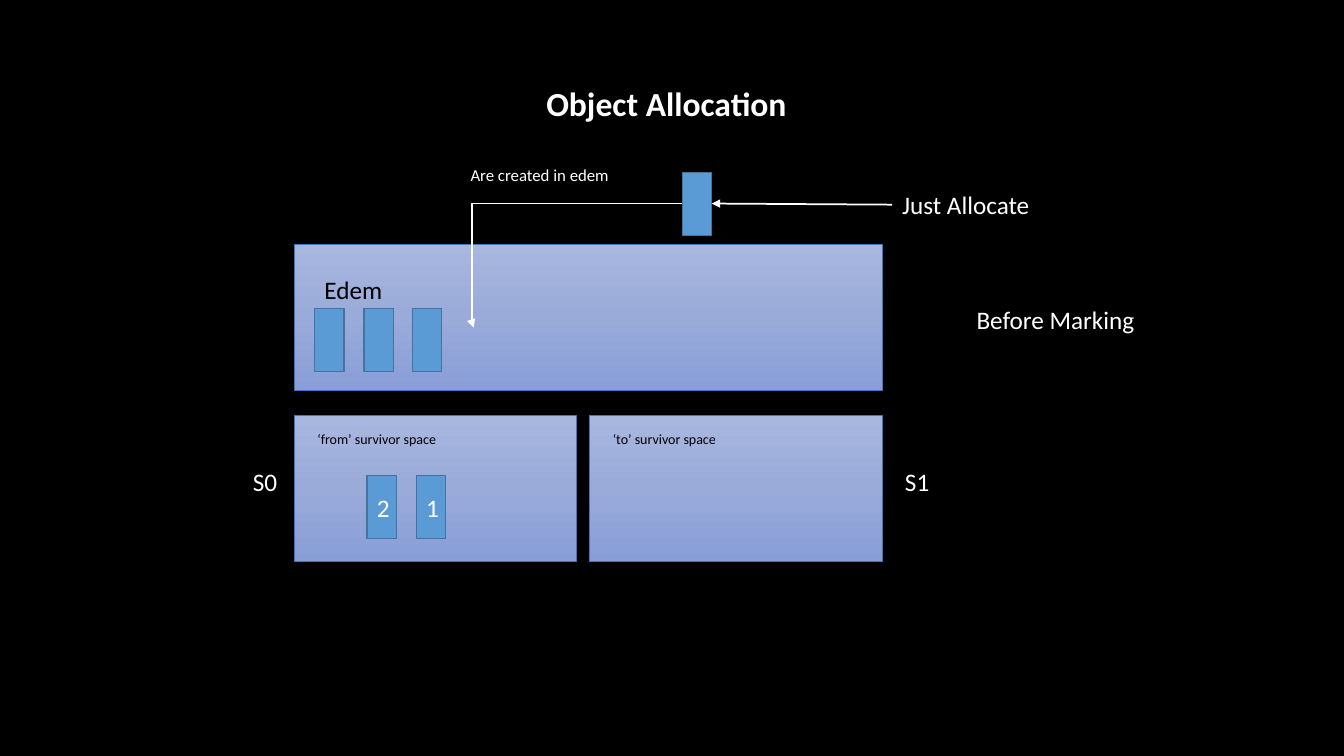
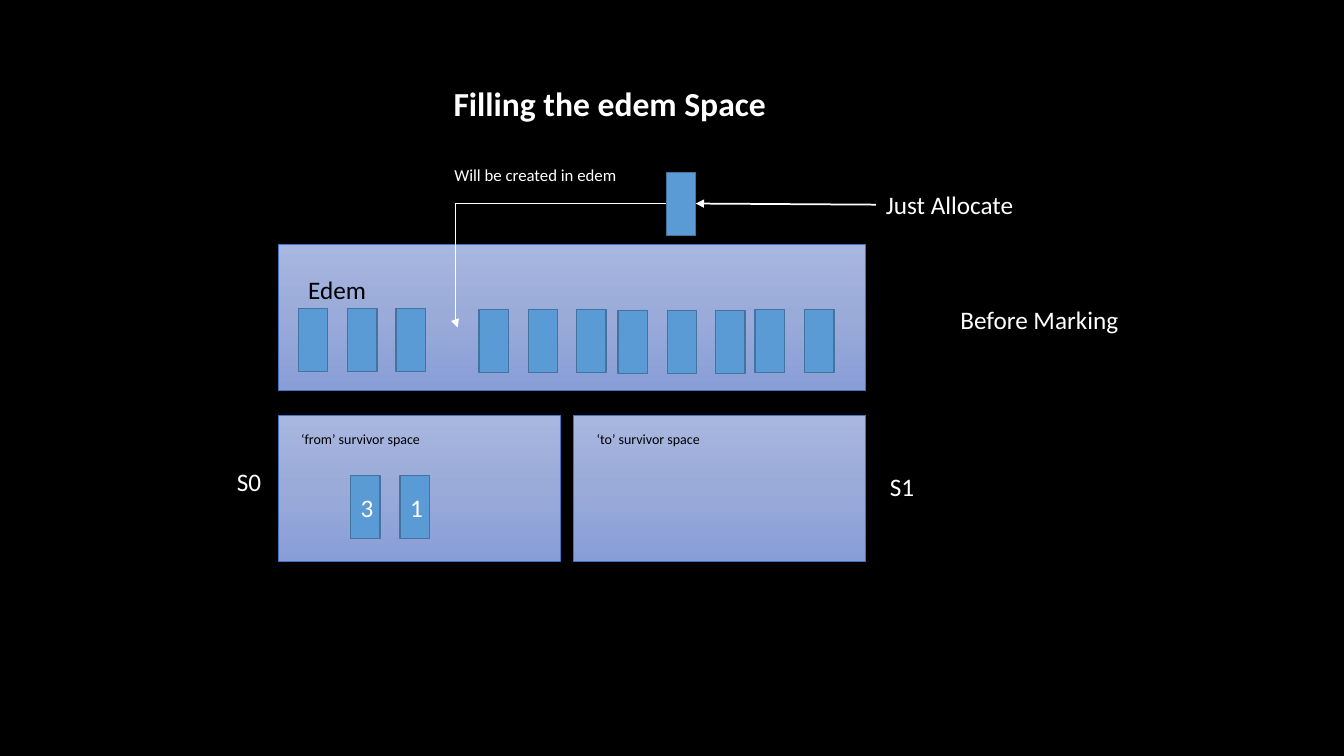
from copy import deepcopy
from dataclasses import dataclass

from lxml.etree import SubElement
from pptx import Presentation
from pptx.dml.color import RGBColor
from pptx.enum.shapes import MSO_CONNECTOR, MSO_SHAPE
from pptx.enum.text import MSO_ANCHOR, MSO_AUTO_SIZE, PP_ALIGN
from pptx.oxml.ns import qn
from pptx.util import Pt


@dataclass(frozen=True)
class Theme:
    """Colours, font and type sizes of the deck."""
    font: str = "Calibri"
    background: str = "000000"
    light: str = "FFFFFF"
    dark: str = "000000"
    cell: str = "5B9BD5"
    cell_edge: str = "43739E"
    space_edge: str = "4472C4"
    space_stops: tuple = ((0, "A8B7DF"), (0.5, "9AABD9"), (1, "889ED7"))
    title: int = 24
    label: int = 18
    note: int = 12
    caption: int = 10


def color(code):
    """Turn a hex code into a colour."""
    return RGBColor.from_string(code)


class Painter:
    """Draws on the current page, measuring from the heap's left edge."""
    cell_size = (21, 45)
    cell_offsets = (0, 35.3, 69.8)

    def __init__(self, deck, theme):
        """Keep the style and set the shared background."""
        self.deck, self.theme = deck, theme
        fill = deck.slide_master.background.fill
        fill.solid()
        fill.fore_color.rgb = color(theme.background)

    def start(self, title, title_left, title_width, origin):
        """Open a titled page whose heap begins at origin."""
        self.page = self.deck.slides.add_slide(self.deck.slide_layouts[5])
        self.origin = origin
        box = self.page.shapes.title
        box.left, box.top = Pt(title_left), Pt(55.4)
        box.width, box.height = Pt(title_width), Pt(36)
        self.set_text(box, title, self.theme.title, self.theme.light, bold=True)

    def place(self, left, top, width, height):
        """Convert a position on the heap to a position on the page."""
        return Pt(self.origin + left), Pt(top), Pt(width), Pt(height)

    def set_text(self, box, text, size, ink, bold=False, align=PP_ALIGN.LEFT,
                 anchor=MSO_ANCHOR.TOP, wrap=True):
        """Put one styled paragraph in a box."""
        frame = box.text_frame
        frame.text = text
        frame.word_wrap = wrap
        frame.auto_size = MSO_AUTO_SIZE.NONE
        frame.vertical_anchor = anchor
        para = frame.paragraphs[0]
        para.alignment = align
        para.font.name, para.font.size = self.theme.font, Pt(size)
        para.font.bold, para.font.color.rgb = bold, color(ink)

    def label(self, text, left, top, width, height=28.8, size=None, ink=None, wrap=True):
        """Add a text box."""
        box = self.page.shapes.add_textbox(*self.place(left, top, width, height))
        self.set_text(box, text, size or self.theme.label, ink or self.theme.light, wrap=wrap)

    def rectangle(self, left, top, width, height, edge, weight):
        """Add an outlined rectangle without shadow."""
        box = self.page.shapes.add_shape(MSO_SHAPE.RECTANGLE, *self.place(left, top, width, height))
        box.shadow.inherit = False
        box.line.color.rgb, box.line.width = color(edge), Pt(weight)
        return box

    def space(self, left, top, width):
        """Add a memory space with a downward gradient."""
        box = self.rectangle(left, top, width, 104.4, self.theme.space_edge, 0.5)
        box.fill.gradient()
        box.fill.gradient_angle = 270
        stops = box._element.spPr.find(".//" + qn("a:gsLst"))
        stops.insert(1, deepcopy(stops[0]))
        for stop, (position, code) in zip(box.fill.gradient_stops, self.theme.space_stops):
            stop.position, stop.color.rgb = position, color(code)

    def cell(self, left, top, text=""):
        """Add an object cell, with its age if given."""
        box = self.rectangle(left, top, *self.cell_size, self.theme.cell_edge, 1)
        box.fill.solid()
        box.fill.fore_color.rgb = color(self.theme.cell)
        if text:
            self.set_text(box, text, self.theme.label, self.theme.light,
                          align=PP_ALIGN.CENTER, anchor=MSO_ANCHOR.MIDDLE)

    def cells(self, left, top, count):
        """Add a group of object cells."""
        for offset in self.cell_offsets[:count]:
            self.cell(left + offset, top)

    def arrow(self, kind, start, end, bend=None):
        """Add an arrow, optionally with its bend in thousandths of a percent."""
        (left, top), (right, bottom) = start, end
        line = self.page.shapes.add_connector(
            kind, Pt(self.origin + left), Pt(top), Pt(self.origin + right), Pt(bottom))
        line.line.color.rgb, line.line.width = color(self.theme.light), Pt(1.25)
        properties = line._element.spPr
        SubElement(properties.find(qn("a:ln")), qn("a:tailEnd"), type="triangle")
        SubElement(properties, qn("a:effectLst"))
        if bend:
            SubElement(properties.find(".//" + qn("a:avLst")), qn("a:gd"),
                       name="adj1", fmla=f"val {bend}")

    def heap(self, note, ages, groups, right_label):
        """Draw the heap: eden cell groups, both survivor spaces and the new object."""
        theme = self.theme
        self.space(0, 174.24, 419.76)
        for group in groups:
            self.cells(*group)
        self.label("Edem", 14.4, 192.2, 90.7, ink=theme.dark)

        self.cell(277.2, 123.1)
        self.arrow(MSO_CONNECTOR.ELBOW, (277.2, 145.4), (128.2, 234), bend=101000)
        self.label(note, 118.8, 113.8, 144, 21.6, theme.note)
        self.label("Just Allocate", 427, 131.8, 106.6, wrap=False)
        self.arrow(MSO_CONNECTOR.STRAIGHT, (427, 146.2), (298.2, 145.4))
        self.label("Before Marking", 480.2, 213.8, 128.2, wrap=False)

        for name, left, width in (("from", 0, 201.6), ("to", 211, 208.8)):
            self.space(left, 296.6, width)
            self.label(f"‘{name}’ survivor space", left + 9.4, 303.8, 134.6, 19.4,
                       theme.caption, theme.dark)
        for age, offset in zip(ages, self.cell_offsets):
            self.cell(51.8 + offset, 339.8, age)
        self.label("S0", -36.7, 329.8, 32.4, wrap=False)
        self.label("S1", *right_label, 32.4, wrap=False)


deck = Presentation()
deck.slide_width, deck.slide_height = Pt(960), Pt(540)
painter = Painter(deck, Theme())
first_group = (14.4, 220.3, 3)

painter.start("Object Allocation", 383, 190.8, origin=210.24)
painter.heap("Are created in edem", "21", [first_group], (429.1, 329.8))

painter.start("Filling the edem Space", 316.8, 282.2, origin=198.72)
later_groups = [(143.3, 221, 3), (242.6, 221.8, 3), (340.6, 221, 2)]
painter.heap("Will be created in edem", "31", [first_group, *later_groups], (429.8, 333.4))

deck.save("out.pptx")
